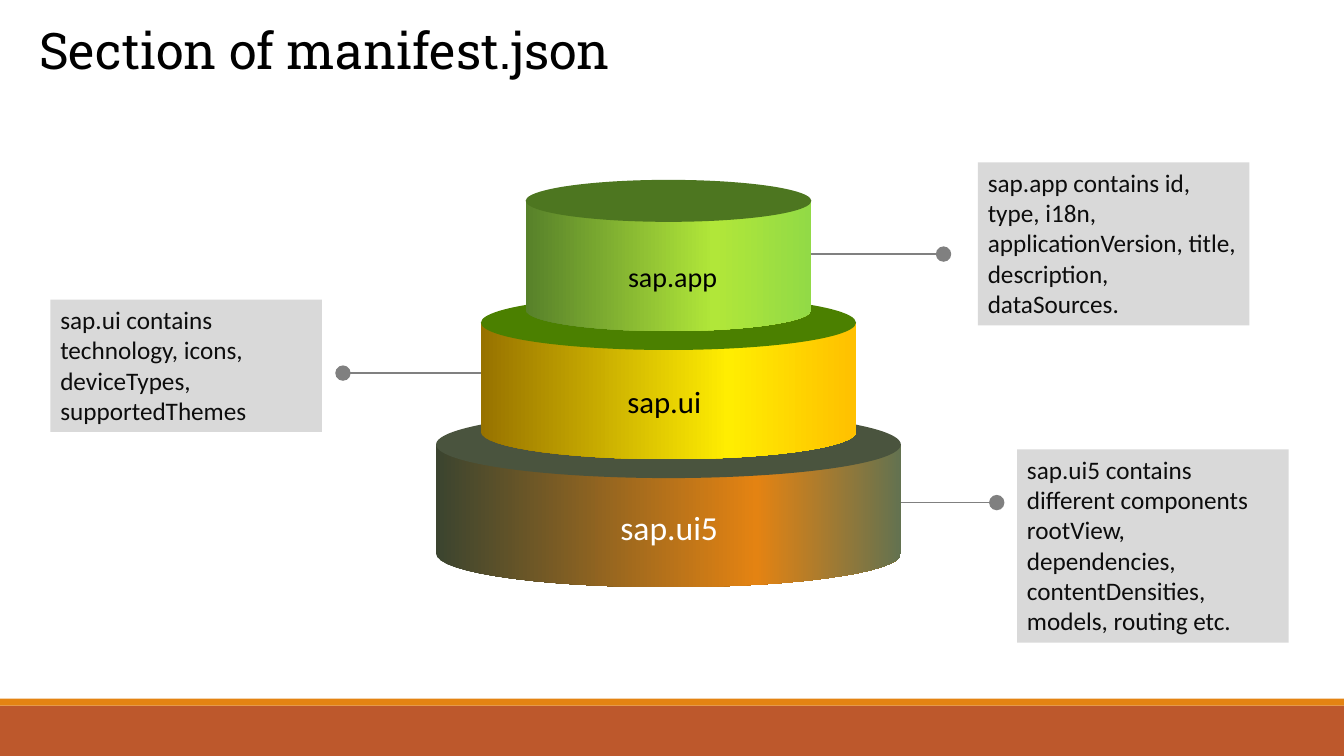
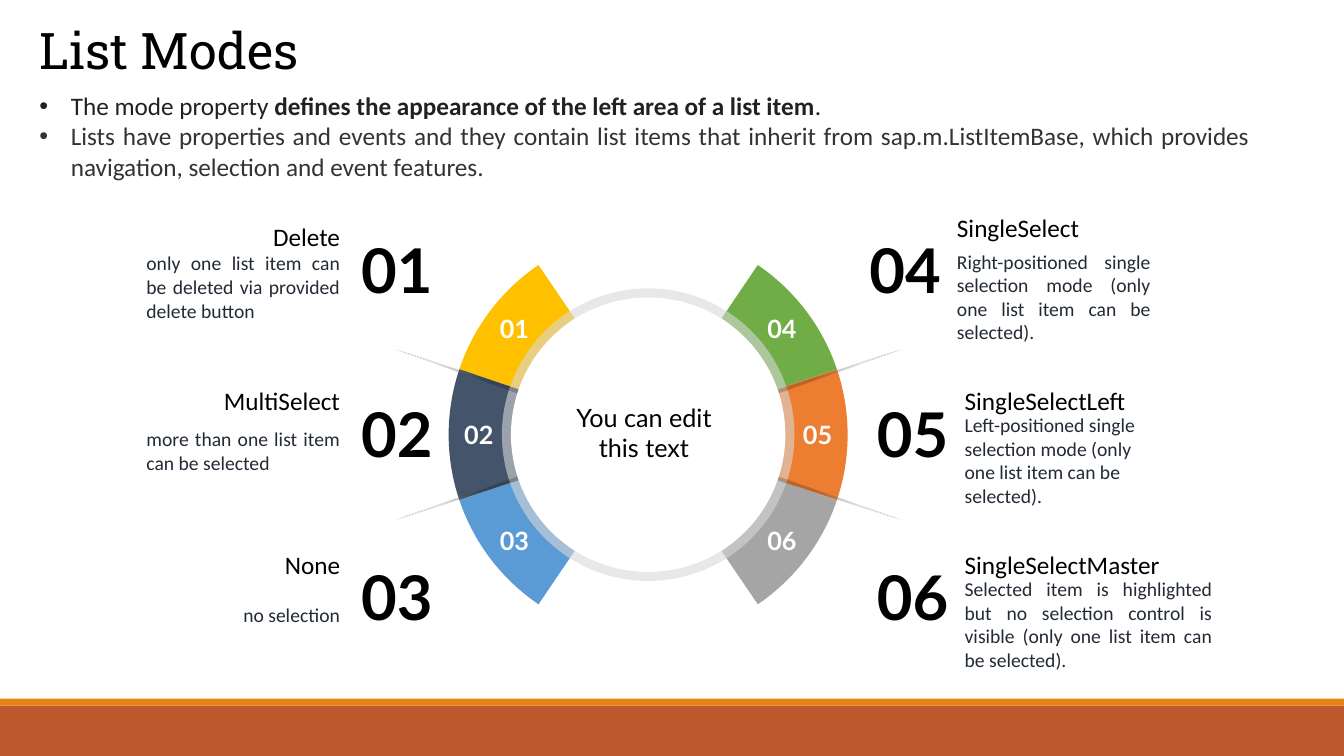
import dataclasses
import math

import lxml.etree
import pptx
import pptx.dml.color
import pptx.enum.shapes
import pptx.enum.text
import pptx.oxml.ns
import pptx.util

Pt = pptx.util.Pt
qn = pptx.oxml.ns.qn
KIND = pptx.enum.shapes.MSO_SHAPE
ALIGN = pptx.enum.text.PP_ALIGN
ANCHOR = pptx.enum.text.MSO_ANCHOR


@dataclasses.dataclass(frozen=True)
class Theme:
    width: float = 960
    height: float = 540
    head_font: str = "Roboto Slab"
    body_font: str = "Calibri"
    mark_font: str = "Lato"
    title: float = 36
    number: float = 44
    text: float = 18
    small: float = 14
    black: str = "000000"
    white: str = "FFFFFF"
    ink: str = "0D0D0D"
    slate: str = "222A35"
    dark: str = "202124"
    soft: str = "333333"
    gray: str = "808080"
    pale: str = "D9D9D9"
    rust: str = "BD582C"
    orange: str = "E48312"


T = Theme()


def color(code):
    return pptx.dml.color.RGBColor.from_string(code)


def place(box):
    return [Pt(v) for v in box]


def round_box(x, y, w, h=None):
    h = w if h is None else h
    return x - w / 2, y - h / 2, w, h


def polar(x, y, reach, angle):
    turn = math.radians(angle)
    return x + reach * math.cos(turn), y + reach * math.sin(turn)


def plain(shape):
    shape.shadow.inherit = False
    shape.line.fill.background()
    return shape


def paint(shape, code, alpha=None):
    shape.fill.solid()
    shape.fill.fore_color.rgb = color(code)
    if alpha is not None:
        tone = shape._element.spPr.find(qn("a:solidFill"))[0]
        lxml.etree.SubElement(tone, qn("a:alpha")).set("val", str(alpha * 1000))


def blend(shape, stops, angle=0):
    shape.fill.gradient()
    shape.fill.gradient_angle = angle
    group = shape._element.spPr.find(qn("a:gradFill")).find(qn("a:gsLst"))
    for old in list(group):
        group.remove(old)
    for spot, code, alpha in stops:
        stop = lxml.etree.SubElement(group, qn("a:gs"))
        stop.set("pos", str(spot * 1000))
        tone = lxml.etree.SubElement(stop, qn("a:srgbClr"))
        tone.set("val", code)
        if alpha < 100:
            lxml.etree.SubElement(tone, qn("a:alpha")).set("val", str(alpha * 1000))


def draw(slide, kind, box, code=None, alpha=None):
    shape = plain(slide.shapes.add_shape(kind, *place(box)))
    if code:
        paint(shape, code, alpha)
    return shape


def style(font, size, code, face=T.body_font, bold=None):
    font.size = Pt(size)
    font.name = face
    font.color.rgb = color(code)
    font.bold = bold


def write(shape, lines, size, code, face=T.body_font, bold=None,
          align=ALIGN.LEFT, anchor=ANCHOR.TOP, space=None):
    frame = shape.text_frame
    frame.word_wrap = True
    frame.vertical_anchor = anchor
    for i, line in enumerate(lines):
        para = frame.add_paragraph() if i else frame.paragraphs[0]
        para.text = line
        para.alignment = align
        para.line_spacing = space
        style(para.font, size, code, face, bold)


def label(slide, box, line, size, code, **rest):
    write(slide.shapes.add_textbox(*place(box)), [line], size, code, **rest)


def start(deck, title):
    slide = deck.slides.add_slide(deck.slide_layouts[6])
    draw(slide, KIND.RECTANGLE, (0, 504, T.width, 36), T.rust)
    draw(slide, KIND.RECTANGLE, (0, 499, T.width, 5), T.orange)
    label(slide, (21, 15, 879, 47), title, T.title, T.black,
          face=T.head_font, space=0.9)
    return slide


def callout(slide, box, lines, root, way):
    write(draw(slide, KIND.RECTANGLE, box, T.pale), lines, T.text, T.ink)
    x, y = root
    tip = x + way * 97
    wire = slide.shapes.add_connector(
        pptx.enum.shapes.MSO_CONNECTOR.STRAIGHT, Pt(x), Pt(y), Pt(tip), Pt(y))
    wire.line.color.rgb = color(T.gray)
    wire.line.width = Pt(1)
    lxml.etree.SubElement(wire._element.spPr, qn("a:effectLst"))
    draw(slide, KIND.OVAL, round_box(tip + way * 3, y, 11), T.gray)


def tier(slide, x, y, reach, rise, stops, lid):
    drop = 78
    curve = [(x + reach * math.cos(math.radians(a)),
              y + drop + rise * math.sin(math.radians(a)))
             for a in range(0, 181, 6)]
    points = [(x + reach, y), *curve, (x - reach, y)]
    points = [(Pt(a), Pt(b)) for a, b in points]
    pen = slide.shapes.build_freeform(*points[0])
    pen.add_line_segments(points[1:], close=True)
    blend(plain(pen.convert_to_shape()), stops)
    draw(slide, KIND.OVAL, round_box(x, y, 2 * reach, 2 * rise), lid)


def cake(slide, x, y, tiers):
    for i, (name, inset, size, code, lid, stops) in reversed(list(enumerate(tiers))):
        mid = y + 87 * i
        shades = [(spot, tone, 100) for spot, tone in stops]
        tier(slide, x, mid, 102 + 32 * i, 15 + 4.5 * i, shades, lid)
        label(slide, (x - inset, mid + 38 + 1.5 * i, 90, 34), name, size, code)


def tier_slide(deck):
    slide = start(deck, "Section of manifest.json")
    callout(slide, (698.5, 116, 194, 116.5),
            ["sap.app contains id, type, i18n, applicationVersion, title, "
             "description, dataSources."], (574, 181.5), 1)
    callout(slide, (726.5, 321, 194, 138),
            ["sap.ui5 contains different components",
             "rootView, dependencies, contentDensities, models, routing etc."],
            (612, 359), 1)
    callout(slide, (36, 214, 194, 94.5),
            ["sap.ui contains technology, icons, deviceTypes, supportedThemes"],
            (345, 266.5), -1)
    cake(slide, 477.5, 143.5, [
        ("sap.app", 36, 20, T.black, "4D7620",
         [(0, "57812A"), (66, "B1E739"), (100, "92DA46")]),
        ("sap.ui", 36.5, 22, T.black, "4B8000",
         [(0, "977200"), (66, "FFED01"), (100, "FFC000")]),
        ("sap.ui5", 41.5, 24, T.white, "4A543E",
         [(0, "3B442F"), (69, T.orange), (100, "637250")]),
    ])


def bullets(slide, box, items):
    frame = slide.shapes.add_textbox(*place(box)).text_frame
    frame.word_wrap = True
    for i, (code, runs) in enumerate(items):
        para = frame.add_paragraph() if i else frame.paragraphs[0]
        props = para._p.get_or_add_pPr()
        props.set("marL", str(Pt(22.5)))
        props.set("indent", str(-Pt(22.5)))
        lxml.etree.SubElement(props, qn("a:buFont")).set("typeface", "Arial")
        lxml.etree.SubElement(props, qn("a:buChar")).set("char", "•")
        para.alignment = ALIGN.JUSTIFY
        style(para.font, T.text, code)
        for words, bold in runs:
            run = para.add_run()
            run.text = words
            if bold:
                run.font.bold = True


def entry(slide, x, y, side, mark, head, body, align, wide=152.5, lift=0):
    left = side < 0
    num_x, text_x = (x + 151.5, x) if left else (x - 64.5, x)
    drop = 26.5 if left else 33.5
    label(slide, (num_x, y + 6.5, 69, 60.5), mark, T.number, T.black,
          face=T.mark_font, bold=True, align=ALIGN.CENTER)
    label(slide, (text_x, y - lift, wide, 27.5), head, T.text, T.black,
          align=ALIGN.RIGHT if left else ALIGN.LEFT, anchor=ANCHOR.MIDDLE)
    label(slide, (text_x, y + drop, wide, 45.5), body, T.small, T.slate,
          align=align, anchor=ANCHOR.MIDDLE)


def sector(slide, x, y, begin, sweep, mark, code):
    arc = draw(slide, KIND.BLOCK_ARC, round_box(x, y, 293), code)
    arc.adjustments[0] = begin % 360 * 0.6
    arc.adjustments[1] = (begin + sweep) % 360 * 0.6
    arc.adjustments[2] = 0.157
    spot = polar(x, y, 125, begin + sweep / 2)
    label(slide, round_box(*spot, 46, 29), mark, T.text, T.white,
          face=T.mark_font, bold=True, align=ALIGN.CENTER)


def wheel(slide, x, y, parts):
    sweep = 37.2
    for i, (mark, code) in enumerate(parts):
        side, row = (-1, i) if i < 3 else (1, i - 3)
        mid = 180 - side * 0 + (1 - row) * sweep if side < 0 else (row - 1) * sweep
        sector(slide, x - side * 4, y, mid - sweep / 2, sweep, mark, code)
    draw(slide, KIND.OVAL, round_box(x, y, 209), T.pale, 59)
    fade = [(22, T.black, 20), (67, "C5C5C5", 50), (87, T.white, 100)]
    for angle in (18.6, 161.4, 198.6, 341.4):
        spike = draw(slide, KIND.ISOSCELES_TRIANGLE,
                     round_box(*polar(x, y, 144, angle), 3, 93))
        spike.rotation = (angle + 90) % 360
        blend(spike, fade, 90)
    draw(slide, KIND.OVAL, round_box(x, y, 196), T.white)
    label(slide, round_box(x - 3, y - 1.5, 140, 92), "You can edit this text",
          T.text, T.black, face=T.mark_font, align=ALIGN.CENTER,
          anchor=ANCHOR.MIDDLE)


def mode_slide(deck):
    slide = start(deck, "List Modes")
    bullets(slide, (21, 61, 879, 73), [
        (T.dark, [("The mode property ", False),
                  ("defines the appearance of the left area of a list item", True),
                  (".", False)]),
        (T.soft, [("Lists have properties and events and they contain list items "
                   "that inherit from sap.m.ListItemBase, which provides "
                   "navigation, selection and event features.", False)]),
    ])
    modes = [
        ("01", "FFC000", "Delete",
         "only one list item can be deleted via provided delete button",
         ALIGN.JUSTIFY, {}),
        ("02", "44546A", "MultiSelect",
         "more than one list item can be selected", ALIGN.JUSTIFY, {}),
        ("03", "5B9BD5", "None", "no selection", ALIGN.RIGHT, {}),
        ("04", "70AD47", "SingleSelect",
         "Right-positioned single selection mode (only one list item can be "
         "selected).", ALIGN.JUSTIFY, {"lift": 6.5}),
        ("05", "ED7D31", "SingleSelectLeft",
         "Left-positioned single selection mode (only one list item can be "
         "selected).", ALIGN.LEFT, {}),
        ("06", "A5A5A5", "SingleSelectMaster",
         "Selected item is highlighted but no selection control is visible "
         "(only one list item can be selected).", ALIGN.JUSTIFY, {"wide": 191}),
    ]
    for i, (mark, code, head, body, align, rest) in enumerate(modes):
        side, x = (-1, 97.5) if i < 3 else (1, 676.5 if i == 3 else 682)
        entry(slide, x, 155.5 + 117 * (i % 3), side, mark, head, body, align, **rest)
    wheel(slide, 463, 310.5, [mode[:2] for mode in modes])


def main():
    deck = pptx.Presentation()
    deck.slide_width = Pt(T.width)
    deck.slide_height = Pt(T.height)
    tier_slide(deck)
    mode_slide(deck)
    deck.save("out.pptx")


if __name__ == "__main__":
    main()
